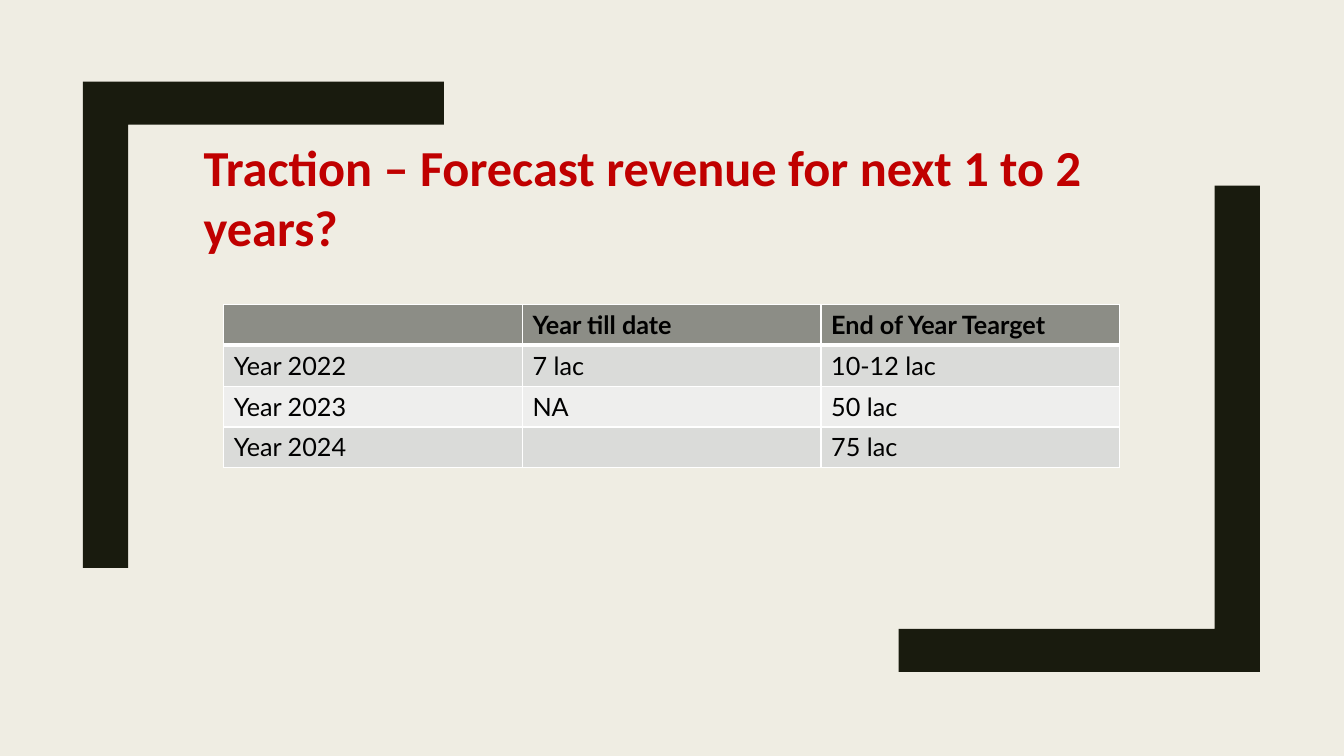
from dataclasses import dataclass

from lxml.etree import SubElement
from pptx import Presentation
from pptx.dml.color import RGBColor
from pptx.oxml.ns import qn
from pptx.util import Cm, Pt


@dataclass(frozen=True)
class Theme:
    background: str = "EFEDE3"
    bracket: str = "191B0E"
    title: str = "C00000"
    text: str = "000000"
    header: str = "8C8D86"
    bands: tuple = ("DADBD9", "EEEEED")
    border: str = "FFFFFF"
    title_font: str = "Calibri"
    table_font: str = "Lato"
    title_size: int = 36
    table_size: int = 18


THEME = Theme()
ROWS = [
    ("", "Year till date", "End of Year Tearget"),
    ("Year 2022", "7 lac", "10-12 lac"),
    ("Year 2023", "NA", "50 lac"),
    ("Year 2024", "", "75 lac"),
]


def paint(fill, color):
    fill.solid()
    fill.fore_color.rgb = RGBColor.from_string(color)


def style_font(font, name, size, color, bold):
    font.name, font.size, font.bold = name, Pt(size), bold
    font.color.rgb = RGBColor.from_string(color)


def add_bracket(s, left, top, width, height, turned=False):
    """Corner bracket in its box; turned moves the corner to bottom right."""
    bar, beam = Cm(1.14), Cm(1.08)
    points = [(0, 0), (width, 0), (width, beam), (bar, beam), (bar, height), (0, height)]
    if turned:
        points = [(width - x, height - y) for x, y in points]
    points = [(left + x, top + y) for x, y in points]
    builder = s.shapes.build_freeform(*points[0])
    builder.add_line_segments(points[1:], close=True)
    sp = builder.convert_to_shape()
    sp.shadow.inherit = False
    paint(sp.fill, THEME.bracket)
    sp.line.fill.background()


def add_title(s, left, top, width, height, text):
    tf = s.shapes.add_textbox(left, top, width, height).text_frame
    tf.word_wrap = True
    tf.text = text
    style_font(tf.paragraphs[0].runs[0].font, THEME.title_font,
               THEME.title_size, THEME.title, True)


def set_borders(cell, widths):
    """Draw the left, right, top and bottom borders, ahead of the cell fill."""
    tc_pr = cell._tc.get_or_add_tcPr()
    for i, (side, width) in enumerate(zip("LRTB", widths)):
        ln = SubElement(tc_pr, qn(f"a:ln{side}"), w=str(Pt(width)))
        SubElement(SubElement(ln, qn("a:solidFill")), qn("a:srgbClr"), val=THEME.border)
        tc_pr.insert(i, ln)


def add_forecast_table(s, left, top, width, height, rows):
    table = s.shapes.add_table(len(rows), len(rows[0]), left, top, width, height).table
    for i, row in enumerate(rows):
        is_header = i == 0
        for j, text in enumerate(row):
            cell = table.cell(i, j)
            paint(cell.fill, THEME.header if is_header else THEME.bands[(i - 1) % 2])
            set_borders(cell, (1, 1, 3 if i == 1 else 1, 3 if is_header else 1))
            cell.text = text
            p = cell.text_frame.paragraphs[0]
            style_font(p.runs[0].font if p.runs else p.font, THEME.table_font,
                       THEME.table_size, THEME.text, is_header)


def build_traction_slide(prs):
    s = prs.slides.add_slide(prs.slide_layouts[6])
    paint(s.background.fill, THEME.background)
    # Corner brackets, the second one the first turned by half
    bracket_size = Cm(9.1), Cm(12.25)
    add_bracket(s, Cm(22.65), Cm(4.68), *bracket_size, turned=True)
    add_bracket(s, Cm(2.09), Cm(2.06), *bracket_size)
    # Title and forecast
    add_title(s, Cm(4.88), Cm(3.3), Cm(24.74), Cm(5.89),
              "Traction – Forecast revenue for next 1 to 2 years?")
    add_forecast_table(s, Cm(5.64), Cm(7.67), Cm(22.58), Cm(4.12), ROWS)


def main():
    prs = Presentation()
    prs.slide_width, prs.slide_height = Cm(33.87), Cm(19.05)
    build_traction_slide(prs)
    prs.save("out.pptx")


if __name__ == "__main__":
    main()
